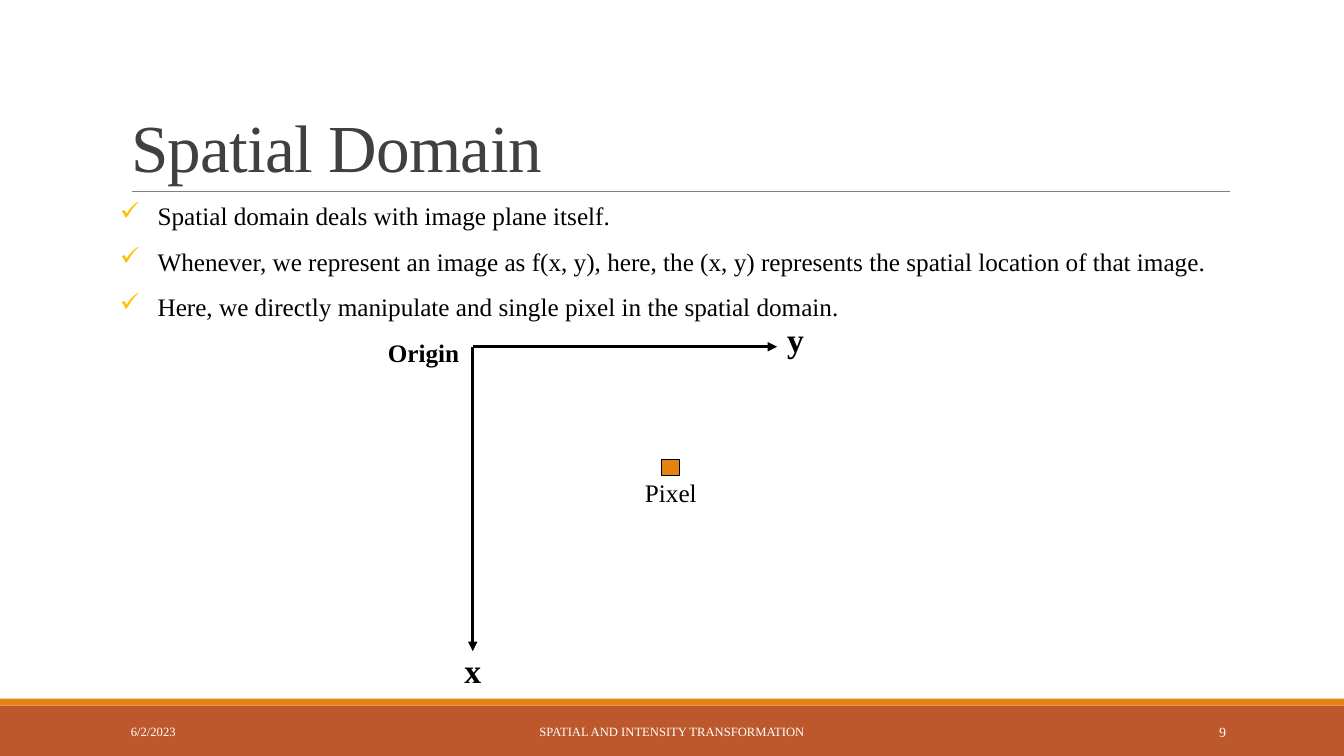
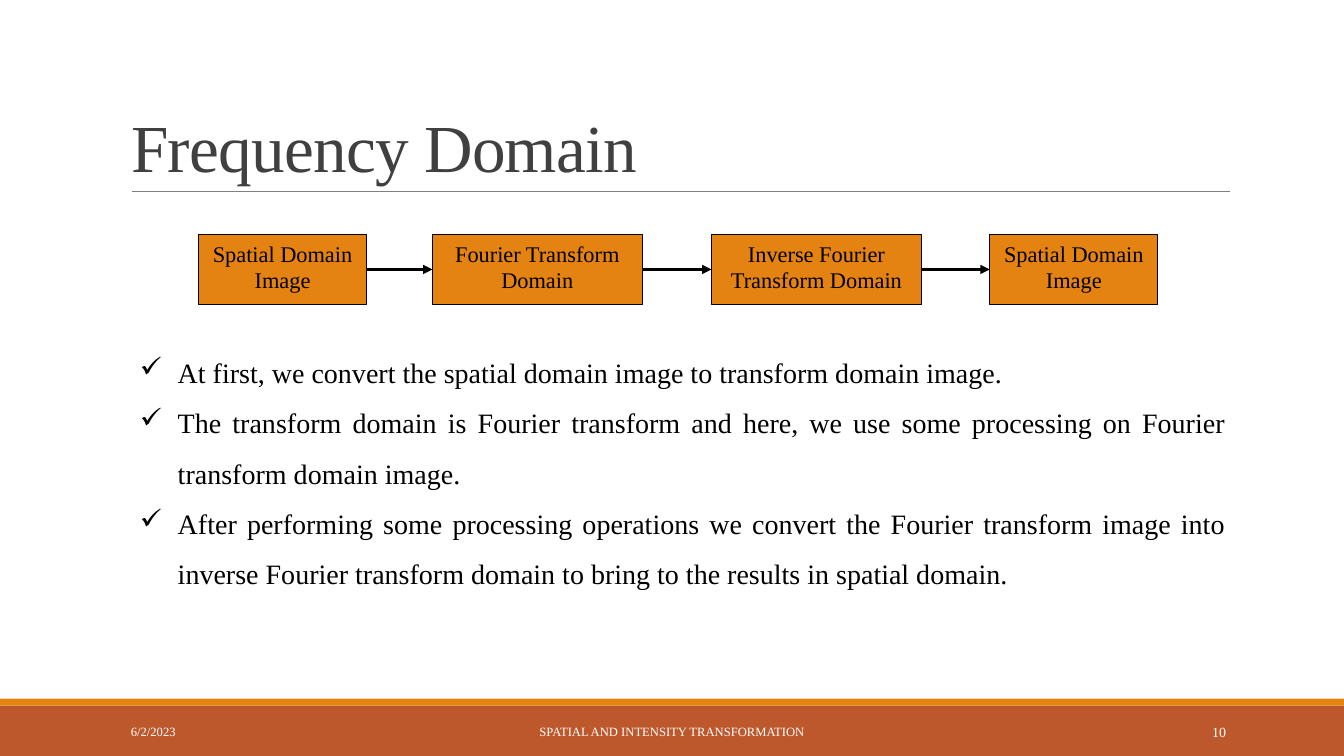
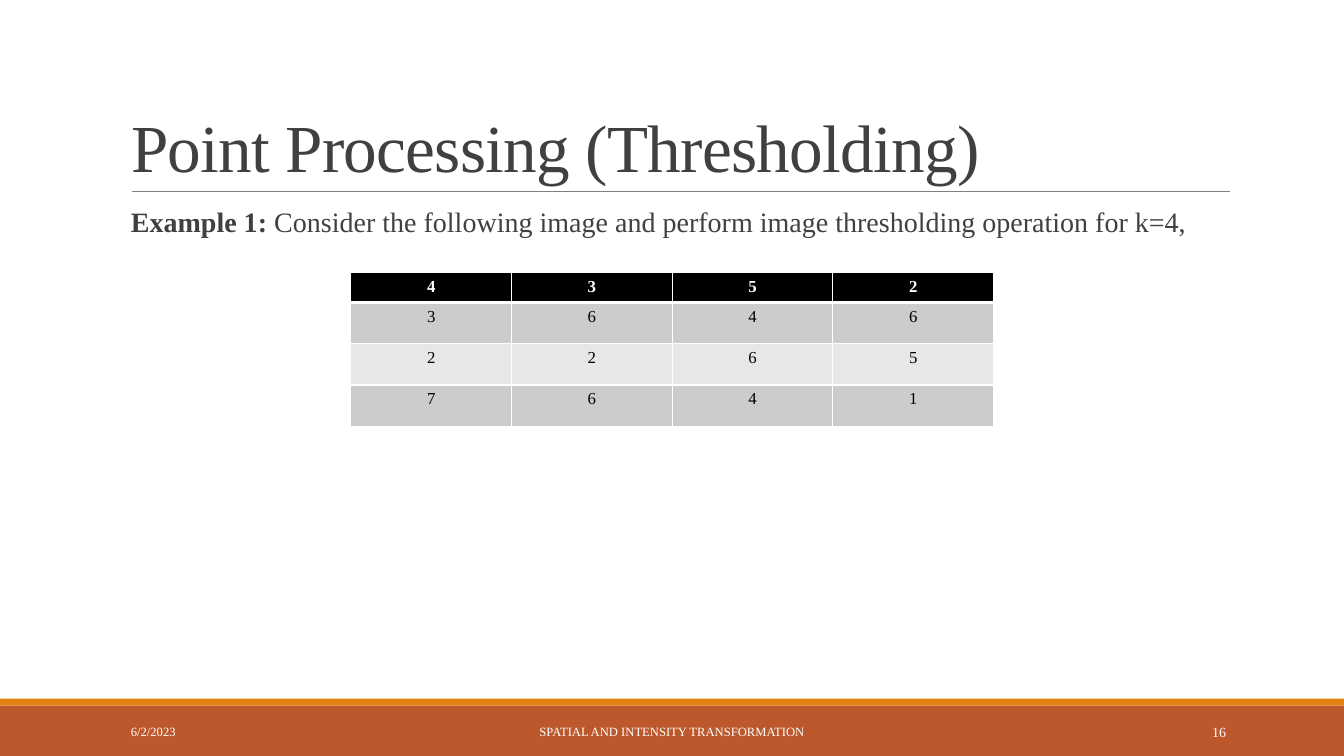
import itertools
from dataclasses import dataclass
from typing import Any, Optional

import lxml.etree
import pptx
import pptx.dml.color
import pptx.enum.shapes
import pptx.enum.text
import pptx.oxml.ns
import pptx.util

Pt = pptx.util.Pt
qn = pptx.oxml.ns.qn
ALIGN = pptx.enum.text.PP_ALIGN
ANCHOR = pptx.enum.text.MSO_ANCHOR
RECTANGLE = pptx.enum.shapes.MSO_SHAPE.RECTANGLE
STRAIGHT = pptx.enum.shapes.MSO_CONNECTOR.STRAIGHT

FONT = "Times New Roman"
COLORS = {
    "band": "BD582C",
    "accent": "E48312",
    "rule": "808080",
    "title": "404040",
    "text": "000000",
    "light": "FFFFFF",
    "check": "FFC000",
    "row_dark": "CCCCCC",
    "row_light": "E7E7E7",
}
SLIDE_WIDTH, SLIDE_HEIGHT = 960, 540
BAND_TOP = 504
ACCENT_HEIGHT = 5


@dataclass(frozen=True)
class Box:
    left: float
    top: float
    width: float
    height: float

    def lengths(self) -> tuple:
        return Pt(self.left), Pt(self.top), Pt(self.width), Pt(self.height)


@dataclass(frozen=True)
class Label:
    text: str
    box: Box
    size: float = 18
    bold: bool = False
    color: str = "text"
    align: Any = ALIGN.LEFT
    anchor: Any = ANCHOR.TOP


@dataclass(frozen=True)
class Step:
    text: str
    left: float
    width: float


TITLE_BOX = Box(86.4, 22.3, 792, 114.5)
FOOTER_TOP, FOOTER_HEIGHT = 508.3, 28.8
NUMBER_BOX = Box(779.8, FOOTER_TOP, 103, FOOTER_HEIGHT)
FOOTERS = (
    Label("6/2/2023", Box(86.4, FOOTER_TOP, 194.4, FOOTER_HEIGHT), 9,
          color="light", anchor=ANCHOR.MIDDLE),
    Label("SPATIAL AND INTENSITY TRANSFORMATION",
          Box(290.2, FOOTER_TOP, 379.4, FOOTER_HEIGHT), 9,
          color="light", align=ALIGN.CENTER, anchor=ANCHOR.MIDDLE),
)

ORIGIN_X, ORIGIN_Y, AXIS_LENGTH = 337.7, 247.7, 217.4
PIXEL_BOX = Box(472.3, 328.3, 13, 11.5)
AXIS_LABELS = (
    Label("x", Box(324.7, 460.8, 31.7, 36.4), 24, bold=True),
    Label("y", Box(555.1, 223.9, 31.7, 36.4), 24, bold=True),
    Label("Origin", Box(270, 237.6, 67.7, 29.1), bold=True),
    Label("Pixel", Box(453.6, 337.7, 67.7, 29.1)),
)
SPATIAL_POINTS = (
    "Spatial domain deals with image plane itself.",
    "Whenever, we represent an image as f(x, y), here, the (x, y) represents "
    "the spatial location of that image.",
    "Here, we directly manipulate and single pixel in the spatial domain.",
)

STEP_TOP, STEP_HEIGHT = 167.6, 49.7
STEPS = (
    Step("Spatial Domain Image", 141.8, 120.2),
    Step("Fourier Transform Domain", 308.9, 149.8),
    Step("Inverse Fourier Transform Domain", 508.3, 149.8),
    Step("Spatial Domain Image", 707, 120.2),
)
FREQUENCY_POINTS = (
    "At first, we convert the spatial domain image to transform domain image.",
    "The transform domain is Fourier transform and here, we use some processing "
    "on Fourier transform domain image.",
    "After performing some processing operations we convert the Fourier transform "
    "image into inverse Fourier transform domain to bring to the results in "
    "spatial domain.",
)

PIXEL_VALUES = ((4, 3, 5, 2), (3, 6, 4, 6), (2, 2, 6, 5), (7, 6, 4, 1))
COLUMN_WIDTH = 114.8
HEADER_HEIGHT, ROW_HEIGHT = 21.6, 29.5


def rgb(name: str) -> pptx.dml.color.RGBColor:
    return pptx.dml.color.RGBColor.from_string(COLORS[name])


def write(paragraph: Any, text: str, *, size: float, color: str = "text",
          bold: bool = False, align: Any = ALIGN.LEFT,
          line_spacing: Optional[float] = None, spacing: Optional[int] = None) -> None:
    paragraph.alignment = align
    if line_spacing:
        paragraph.line_spacing = line_spacing
    run = paragraph.add_run()
    run.text = text
    run.font.name = FONT
    run.font.size = Pt(size)
    run.font.bold = bold
    run.font.color.rgb = rgb(color)
    if spacing is not None:
        run.font._element.set("spc", str(spacing))


def add_frame(slide: Any, box: Box, anchor: Any = ANCHOR.TOP) -> Any:
    frame = slide.shapes.add_textbox(*box.lengths()).text_frame
    frame.word_wrap = True
    frame.vertical_anchor = anchor
    return frame


def add_label(slide: Any, label: Label) -> None:
    frame = add_frame(slide, label.box, label.anchor)
    write(frame.paragraphs[0], label.text, size=label.size, color=label.color,
          bold=label.bold, align=label.align)


def add_rectangle(slide: Any, box: Box, fill: str, outlined: bool = False) -> Any:
    shape = slide.shapes.add_shape(RECTANGLE, *box.lengths())
    shape.shadow.inherit = False
    shape.fill.solid()
    shape.fill.fore_color.rgb = rgb(fill)
    if outlined:
        shape.line.color.rgb = rgb("text")
        shape.line.width = Pt(0.75)
    else:
        shape.line.fill.background()
    return shape


def add_line(slide: Any, start: tuple, end: tuple, color: str = "text",
             width: float = 2.25, arrow: bool = True) -> Any:
    connector = slide.shapes.add_connector(
        STRAIGHT, *(Pt(value) for value in (*start, *end)))
    connector.line.color.rgb = rgb(color)
    connector.line.width = Pt(width)
    if arrow:
        outline = connector.line._get_or_add_ln()
        lxml.etree.SubElement(outline, qn("a:tailEnd"), type="triangle")
    lxml.etree.SubElement(connector._element.spPr, qn("a:effectLst"))
    return connector


def add_checklist(slide: Any, box: Box, points: tuple, size: float,
                  check_color: str) -> None:
    frame = add_frame(slide, box)
    for index, point in enumerate(points):
        paragraph = frame.add_paragraph() if index else frame.paragraphs[0]
        properties = paragraph._p.get_or_add_pPr()
        properties.set("marL", str(Pt(27)))
        properties.set("indent", str(-Pt(27)))
        bullet_color = lxml.etree.SubElement(properties, qn("a:buClr"))
        lxml.etree.SubElement(bullet_color, qn("a:srgbClr"), val=COLORS[check_color])
        lxml.etree.SubElement(properties, qn("a:buChar"), char="✓")
        write(paragraph, point, size=size, align=ALIGN.JUSTIFY, line_spacing=1.5)


def add_slide(presentation: Any, title: str, number: int) -> Any:
    slide = presentation.slides.add_slide(presentation.slide_layouts[5])
    add_rectangle(slide, Box(0, BAND_TOP, SLIDE_WIDTH, SLIDE_HEIGHT - BAND_TOP), "band")
    add_rectangle(slide, Box(0, BAND_TOP - ACCENT_HEIGHT, SLIDE_WIDTH, ACCENT_HEIGHT),
                  "accent")
    add_line(slide, (94.3, 136.8), (878.4, 136.8), "rule", 0.5, arrow=False)
    placeholder = slide.shapes.title
    placeholder.left, placeholder.top, placeholder.width, placeholder.height = (
        TITLE_BOX.lengths())
    frame = placeholder.text_frame
    frame.auto_size = pptx.enum.text.MSO_AUTO_SIZE.NONE
    frame.vertical_anchor = ANCHOR.BOTTOM
    write(frame.paragraphs[0], title, size=48, color="title",
          line_spacing=0.85, spacing=-50)
    page = Label(str(number), NUMBER_BOX, 10, color="light",
                 align=ALIGN.RIGHT, anchor=ANCHOR.MIDDLE)
    for label in (*FOOTERS, page):
        add_label(slide, label)
    return slide


def set_borders(cell: Any, top: float, bottom: float) -> None:
    properties = cell._tc.get_or_add_tcPr()
    for side, width in (("L", 1), ("R", 1), ("T", top), ("B", bottom)):
        border = lxml.etree.SubElement(properties, qn(f"a:ln{side}"), w=str(Pt(width)))
        fill = lxml.etree.SubElement(border, qn("a:solidFill"))
        lxml.etree.SubElement(fill, qn("a:srgbClr"), val=COLORS["light"])


def add_pixel_table(slide: Any) -> None:
    row_count, column_count = len(PIXEL_VALUES), len(PIXEL_VALUES[0])
    box = Box(250.6, 194.4, COLUMN_WIDTH * column_count,
              HEADER_HEIGHT + ROW_HEIGHT * (row_count - 1))
    table = slide.shapes.add_table(row_count, column_count, *box.lengths()).table
    for column in table.columns:
        column.width = Pt(COLUMN_WIDTH)
    for index, values in enumerate(PIXEL_VALUES):
        header = index == 0
        table.rows[index].height = Pt(HEADER_HEIGHT if header else ROW_HEIGHT)
        fill = "text" if header else "row_dark" if index % 2 else "row_light"
        for cell, value in zip(table.rows[index].cells, values):
            set_borders(cell, top=3 if index == 1 else 1, bottom=3 if header else 1)
            cell.fill.solid()
            cell.fill.fore_color.rgb = rgb(fill)
            write(cell.text_frame.paragraphs[0], str(value), size=12, bold=header,
                  color="light" if header else "text", align=ALIGN.CENTER)


def build_spatial_domain(presentation: Any) -> None:
    slide = add_slide(presentation, "Spatial Domain", 9)
    origin = (ORIGIN_X, ORIGIN_Y)
    add_line(slide, origin, (ORIGIN_X + AXIS_LENGTH, ORIGIN_Y))
    add_line(slide, origin, (ORIGIN_X, ORIGIN_Y + AXIS_LENGTH))
    add_rectangle(slide, PIXEL_BOX, "accent", outlined=True)
    for label in AXIS_LABELS:
        add_label(slide, label)
    add_checklist(slide, Box(78.5, 128.9, 807.8, 101.5), SPATIAL_POINTS, 18, "check")


def build_frequency_domain(presentation: Any) -> None:
    slide = add_slide(presentation, "Frequency Domain", 10)
    add_checklist(slide, Box(92.9, 238.3, 789.8, 184.3), FREQUENCY_POINTS, 20, "text")
    shapes = []
    for step in STEPS:
        shape = add_rectangle(slide, Box(step.left, STEP_TOP, step.width, STEP_HEIGHT),
                              "accent", outlined=True)
        shape.text_frame.word_wrap = True
        shape.text_frame.vertical_anchor = ANCHOR.TOP
        write(shape.text_frame.paragraphs[0], step.text, size=16, align=ALIGN.CENTER)
        shapes.append(shape)
    for source, target in itertools.pairwise(shapes):
        connector = add_line(slide, (0, 0), (0, 0))
        connector.begin_connect(source, 3)
        connector.end_connect(target, 1)


def build_thresholding(presentation: Any) -> None:
    slide = add_slide(presentation, "Point Processing (Thresholding)", 16)
    frame = add_frame(slide, Box(86.4, 145.4, 792, 316.8))
    frame.margin_left = Pt(7.2)
    frame.margin_right = Pt(0)
    paragraph = frame.paragraphs[0]
    write(paragraph, "Example 1:", size=20, color="title", bold=True, line_spacing=0.9)
    write(paragraph, " Consider the following image and perform image thresholding "
          "operation for k=4,", size=20, color="title", line_spacing=0.9)
    add_pixel_table(slide)


def main() -> None:
    presentation = pptx.Presentation()
    presentation.slide_width = Pt(SLIDE_WIDTH)
    presentation.slide_height = Pt(SLIDE_HEIGHT)
    build_spatial_domain(presentation)
    build_frequency_domain(presentation)
    build_thresholding(presentation)
    presentation.save("out.pptx")


if __name__ == "__main__":
    main()
